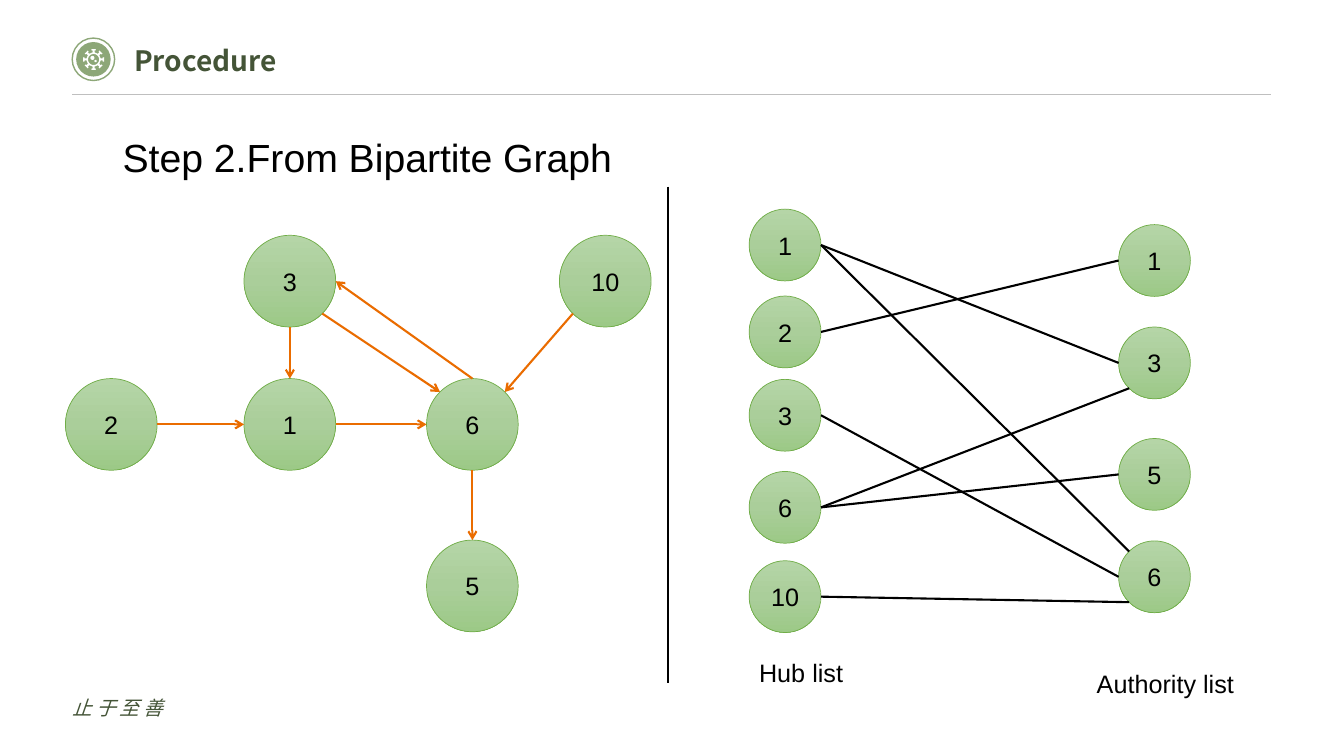
from copy import deepcopy
from dataclasses import dataclass
from enum import IntEnum
from math import cos, radians, sin

from lxml.etree import SubElement
from pptx import Presentation
from pptx.dml.color import RGBColor
from pptx.enum.shapes import MSO_CONNECTOR, MSO_SHAPE
from pptx.enum.text import MSO_ANCHOR, PP_ALIGN
from pptx.oxml.ns import qn
from pptx.util import Cm, Pt


@dataclass(frozen=True)
class Theme:
    sans: str = "Arial"
    cjk: str = "Noto Sans CJK SC"
    ink: str = "000000"
    paper: str = "FFFFFF"
    brand: str = "445437"
    badge: str = "8DA778"
    rule: str = "BFBFBF"
    link: str = "EA6C00"
    node_edge: str = "70AD47"
    node_stops: tuple = ((0, "B5D5A7"), (0.5, "AACE9A"), (1, "9CC987"))
    motto_size: int = 14
    label_size: int = 18
    title_size: int = 20
    heading_size: int = 28
    hairline: float = 0.5
    ring: float = 1
    stroke: float = 1.5


class Site(IntEnum):
    TOP = 0
    TOP_LEFT = 1
    LEFT = 2
    BOTTOM_LEFT = 3
    BOTTOM = 4
    BOTTOM_RIGHT = 5
    RIGHT = 6
    TOP_RIGHT = 7


THEME = Theme()


def rgb(value):
    return RGBColor.from_string(value)


def style_text(paragraph, size, colour=THEME.ink, face=THEME.sans):
    font = paragraph.font
    font.size, font.name = Pt(size), face
    font.color.rgb = rgb(colour)
    defaults = paragraph._p.pPr.find(qn("a:defRPr"))
    SubElement(defaults, qn("a:ea"), typeface=face)
    return defaults


def add_text(slide, box, text, size, colour=THEME.ink, face=THEME.sans, flush=False):
    frame = slide.shapes.add_textbox(*(Cm(v) for v in box)).text_frame
    frame.word_wrap = True
    if flush:
        frame.margin_left = 0
    paragraph = frame.paragraphs[0]
    paragraph.text = text
    style_text(paragraph, size, colour, face)
    return frame


def add_circle(slide, left, top, diameter):
    circle = slide.shapes.add_shape(
        MSO_SHAPE.OVAL, Cm(left), Cm(top), Cm(diameter), Cm(diameter))
    circle.shadow.inherit = False
    return circle


def add_line(slide, start, end, colour, width):
    line = slide.shapes.add_connector(MSO_CONNECTOR.STRAIGHT, *start, *end)
    line.line.color.rgb = rgb(colour)
    line.line.width = Pt(width)
    SubElement(line._element.spPr, qn("a:effectLst"))
    return line


def add_node(slide, left, top, diameter, label):
    node = add_circle(slide, left, top, diameter)
    node.fill.gradient()
    node.fill.gradient_angle = 270
    stops = next(node._element.spPr.iter(qn("a:gsLst")))
    stops.append(deepcopy(stops[-1]))
    for stop, (position, colour) in zip(node.fill.gradient_stops, THEME.node_stops):
        stop.position = position
        stop.color.rgb = rgb(colour)
    node.line.color.rgb = rgb(THEME.node_edge)
    node.line.width = Pt(THEME.hairline)
    frame = node.text_frame
    frame.word_wrap = True
    frame.margin_left = frame.margin_right = 0
    frame.vertical_anchor = MSO_ANCHOR.MIDDLE
    paragraph = frame.paragraphs[0]
    paragraph.text = label
    paragraph.alignment = PP_ALIGN.CENTER
    style_text(paragraph, THEME.label_size)
    return node


def site_point(node, site):
    angle = radians(90 + 45 * site)
    radius = node.width / 2
    return (round(node.left + radius * (1 + cos(angle))),
            round(node.top + radius * (1 - sin(angle))))


def add_edge(slide, source, source_site, target, target_site, colour, arrow=False):
    edge = add_line(slide, site_point(source, source_site),
                    site_point(target, target_site), colour, THEME.stroke)
    joints = next(edge._element.iter(qn("p:cNvCxnSpPr")))
    for tag, node, site in (("a:stCxn", source, source_site), ("a:endCxn", target, target_site)):
        SubElement(joints, qn(tag), id=str(node.shape_id), idx=str(int(site)))
    if arrow:
        SubElement(edge.line._get_or_add_ln(), qn("a:tailEnd"), type="arrow")


def add_gear(slide, centre_x, centre_y):
    def polar(degrees, radius):
        angle = radians(degrees)
        return Cm(centre_x + radius * cos(angle)), Cm(centre_y + radius * sin(angle))

    def ring(x, y, radius):
        return [(Cm(x + radius * cos(radians(a))), Cm(y + radius * sin(radians(a))))
                for a in range(0, 360, 15)]

    tooth = ((-8, 0.18), (-6, 0.23), (-12, 0.23), (-12, 0.27),
             (12, 0.27), (12, 0.23), (6, 0.23), (8, 0.18))
    outline = [polar(turn + degrees, radius)
               for turn in range(0, 360, 45) for degrees, radius in tooth]
    gear = slide.shapes.build_freeform(*outline[0])
    gear.add_line_segments(outline[1:])
    for contour in (ring(centre_x, centre_y, 0.14),
                    ring(centre_x - 0.03, centre_y - 0.04, 0.05),
                    ring(centre_x + 0.05, centre_y + 0.04, 0.03)):
        gear.move_to(*contour[0])
        gear.add_line_segments(contour[1:])
    emblem = gear.convert_to_shape()
    emblem.shadow.inherit = False
    emblem.fill.solid()
    emblem.fill.fore_color.rgb = rgb(THEME.paper)
    emblem.line.fill.background()


def add_header(slide, left, top, width):
    ring = add_circle(slide, left, top, 1.07)
    ring.fill.background()
    ring.line.color.rgb = rgb(THEME.badge)
    ring.line.width = Pt(THEME.ring)
    disc = add_circle(slide, left + 0.1, top + 0.1, 0.87)
    disc.fill.solid()
    disc.fill.fore_color.rgb = rgb(THEME.badge)
    disc.line.fill.background()
    add_gear(slide, left + 0.54, top + 0.54)
    add_line(slide, (Cm(left), Cm(top + 1.42)), (Cm(left + width), Cm(top + 1.42)),
             THEME.rule, THEME.hairline)
    title = add_text(slide, (left + 1.56, top, 24.79, 1.12), "Procedure",
                     THEME.title_size, THEME.brand, THEME.cjk, flush=True)
    title.paragraphs[0].font.bold = True


def add_footer(slide, left, top, width, height):
    motto = add_text(slide, (left, top, width, height), "止于至善",
                     THEME.motto_size, THEME.brand, THEME.cjk, flush=True)
    motto.vertical_anchor = MSO_ANCHOR.MIDDLE
    motto.paragraphs[0].font.italic = True
    motto.paragraphs[0]._p.pPr.find(qn("a:defRPr")).set("spc", "300")


def add_link_graph(slide, left, top):
    places = {"3": (4.5, 0), "2": (0, 3.61), "6": (9.1, 3.61),
              "5": (9.1, 7.68), "1": (4.5, 3.61), "10": (12.45, 0)}
    pages = {label: add_node(slide, left + x, top + y, 2.31, label)
             for label, (x, y) in places.items()}
    links = (("3", Site.BOTTOM, "1", Site.TOP), ("2", Site.RIGHT, "1", Site.LEFT),
             ("6", Site.BOTTOM, "5", Site.TOP), ("1", Site.RIGHT, "6", Site.LEFT),
             ("10", Site.BOTTOM_LEFT, "6", Site.TOP_RIGHT),
             ("3", Site.BOTTOM_RIGHT, "6", Site.TOP_LEFT),
             ("6", Site.TOP, "3", Site.RIGHT))
    for source, leaving, target, arriving in links:
        add_edge(slide, pages[source], leaving, pages[target], arriving, THEME.link, arrow=True)


def add_bipartite_graph(slide, left, top):
    hub_tops = {"1": 0, "2": 2.19, "3": 4.29, "6": 6.61, "10": 8.86}
    authority_tops = {"1": 0.39, "3": 2.97, "5": 5.78, "6": 8.36}
    hubs, authorities = (
        {label: add_node(slide, left + x, top + y, 1.81, label) for label, y in tops.items()}
        for x, tops in ((0, hub_tops), (9.31, authority_tops)))
    links = (("1", "3", Site.LEFT), ("1", "6", Site.TOP_LEFT), ("2", "1", Site.LEFT),
             ("3", "6", Site.LEFT), ("6", "3", Site.BOTTOM_LEFT), ("6", "5", Site.LEFT),
             ("10", "6", Site.BOTTOM_LEFT))
    for hub, authority, arriving in links:
        add_edge(slide, hubs[hub], Site.RIGHT, authorities[authority], arriving, THEME.ink)
    for caption, x, y in (("Hub list", 0, 11.18), ("Authority list", 8.51, 11.45)):
        add_text(slide, (left + x, top + y, 4.09, 1.02), caption, THEME.label_size)


def main():
    deck = Presentation()
    deck.slide_width, deck.slide_height = Cm(33.87), Cm(19.05)
    slide = deck.slides.add_slide(deck.slide_layouts[6])
    add_header(slide, 1.82, 0.96, 30.2)
    add_footer(slide, 1.82, 17.32, 9.3, 1.02)
    add_text(slide, (2.84, 3.23, 17.42, 1.45), "Step 2.From Bipartite Graph", THEME.heading_size)
    add_link_graph(slide, 1.65, 5.93)
    add_line(slide, (Cm(16.84), Cm(4.7)), (Cm(16.84), Cm(17.2)), THEME.ink, THEME.stroke)
    add_bipartite_graph(slide, 18.88, 5.27)
    deck.save("out.pptx")


if __name__ == "__main__":
    main()
